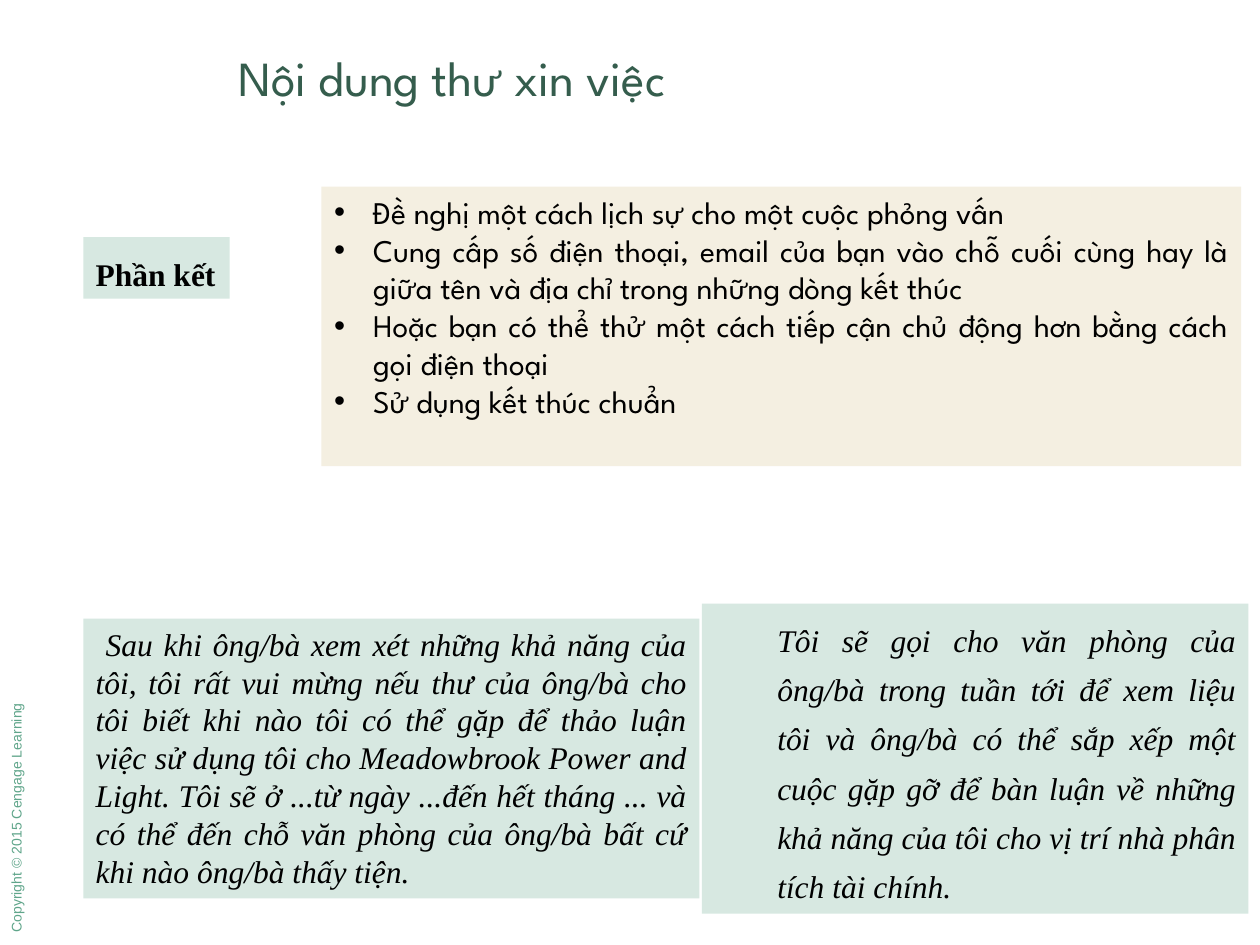
from dataclasses import dataclass

from lxml.etree import SubElement
from pptx import Presentation
from pptx.dml.color import RGBColor
from pptx.enum.shapes import MSO_SHAPE as Shape
from pptx.enum.text import MSO_ANCHOR as Anchor, MSO_AUTO_SIZE as AutoSize, PP_ALIGN as Align
from pptx.oxml.ns import qn
from pptx.util import Cm, Pt


@dataclass(frozen=True)
class Theme:
    mint: str = "D7E8E1"
    cream: str = "F4EFE1"
    heading: str = "355D4D"
    credit: str = "5FA58A"
    ink: str = "000000"
    sans: str = "League Spartan"
    serif: str = "Times New Roman"
    plain: str = "Arial"
    title_size: int = 28
    body_size: int = 18
    credit_size: int = 8


THEME = Theme()

ADVICE = [
    "Đề nghị một cách lịch sự cho một cuộc phỏng vấn",
    "Cung cấp số điện thoại, email của bạn vào chỗ cuối cùng hay là giữa tên và địa chỉ "
    "trong những dòng kết thúc",
    "Hoặc bạn có thể thử một cách tiếp cận chủ động hơn bằng cách gọi điện thoại",
    "Sử dụng kết thúc chuẩn",
]
POLITE_CLOSING = (
    "Sau khi ông/bà xem xét những khả năng của tôi, tôi rất vui mừng nếu thư của ông/bà cho "
    "tôi biết khi nào tôi có thể gặp để thảo luận việc sử dụng tôi cho Meadowbrook Power and "
    "Light. Tôi sẽ ở ...từ ngày ...đến hết tháng ... và có thể đến chỗ văn phòng của ông/bà "
    "bất cứ khi nào ông/bà thấy tiện."
)
ACTIVE_CLOSING = (
    "Tôi sẽ gọi cho văn phòng của ông/bà trong tuần tới để xem liệu tôi và ông/bà có thể sắp "
    "xếp một cuộc gặp gỡ để bàn luận về những khả năng của tôi cho vị trí nhà phân tích tài chính."
)


def write_text(shape, texts, size=THEME.body_size, font=THEME.serif, color=THEME.ink,
               bold=False, italic=False, align=Align.JUSTIFY, line=1.0, after=0,
               margin=0, indent=0, bullet=None, wrap=True, anchor=Anchor.TOP):
    frame = shape.text_frame
    frame.auto_size = AutoSize.NONE
    frame.word_wrap = wrap
    frame.vertical_anchor = anchor
    for index, text in enumerate(texts):
        para = frame.add_paragraph() if index else frame.paragraphs[0]
        para.alignment = align
        para.line_spacing = line
        para.space_before = Pt(0)
        para.space_after = Pt(after)
        props = para._p.get_or_add_pPr()
        props.set("marL", str(Cm(margin)))
        props.set("indent", str(Cm(indent)))
        if bullet:
            SubElement(props, qn("a:buFont"), typeface=THEME.plain)
            SubElement(props, qn("a:buChar"), char=bullet)
        span = para.add_run()
        span.text = text
        span.font.size = Pt(size)
        span.font.name = font
        span.font.bold = bold
        span.font.italic = italic
        span.font.color.rgb = RGBColor.from_string(color)


def place(shape, box):
    shape.left, shape.top, shape.width, shape.height = map(Cm, box)


def paint(shape, color):
    shape.fill.solid()
    shape.fill.fore_color.rgb = RGBColor.from_string(color)


def add_credit(page, box):
    credit = page.shapes.add_textbox(*map(Cm, box))
    credit.rotation = 270
    write_text(credit, ["Copyright © 2015 Cengage Learning"], size=THEME.credit_size,
               font=THEME.plain, color=THEME.credit, align=Align.LEFT, wrap=False)


def add_title(page, box):
    title = page.shapes.title
    place(title, box)
    write_text(title, ["Nội dung thư xin việc"], size=THEME.title_size, font=THEME.sans,
               color=THEME.heading, align=Align.LEFT, anchor=Anchor.MIDDLE)


def add_advice(page, box):
    advice = page.placeholders[1]
    place(advice, box)
    paint(advice, THEME.cream)
    write_text(advice, ADVICE, font=THEME.sans, margin=0.79, indent=-0.79, bullet="•")


def add_panel(page, box, text, **style):
    panel = page.shapes.add_shape(Shape.RECTANGLE, *map(Cm, box))
    panel.shadow.inherit = False
    panel.line.fill.background()
    paint(panel, THEME.mint)
    write_text(panel, [text], **style)


def main():
    deck = Presentation()
    deck.slide_width, deck.slide_height = Cm(25.4), Cm(19.05)
    page = deck.slides.add_slide(deck.slide_layouts[1])
    left = 1.68
    add_credit(page, (-2.26, 16.18, 5.16, 0.58))
    add_title(page, (4.55, 0, 21.23, 3.12))
    add_panel(page, (left, 4.78, 2.95, 1.24), "Phần kết", bold=True, line=1.3, after=6,
              wrap=False, align=Align.LEFT)
    add_advice(page, (6.48, 3.76, 18.54, 5.64))
    add_panel(page, (left, 12.47, 12.42, 5.64), POLITE_CLOSING, italic=True, indent=0.2)
    add_panel(page, (14.15, 12.17, 11.02, 6.25), ACTIVE_CLOSING, italic=True, line=1.3,
              after=6, margin=1.27)
    deck.save("out.pptx")


if __name__ == "__main__":
    main()
